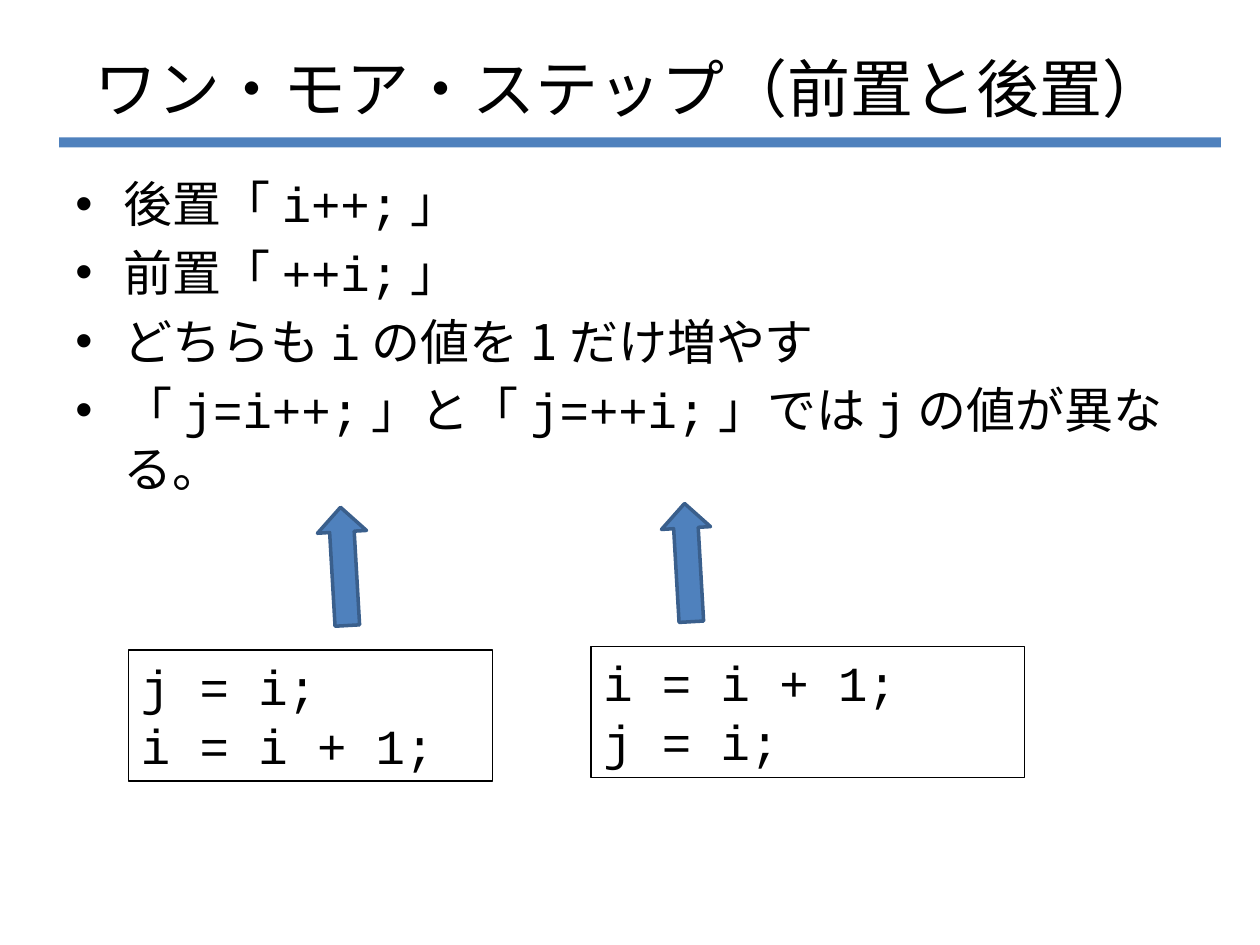
from lxml.etree import SubElement
from pptx import Presentation
from pptx.dml.color import RGBColor
from pptx.enum.shapes import MSO_SHAPE
from pptx.enum.text import MSO_ANCHOR, PP_ALIGN
from pptx.oxml.ns import qn
from pptx.util import Inches, Pt

COLORS = {"text": "000000", "accent": "4F81BD", "edge": "3A5F8C"}
TITLE_FONT, BODY_FONT, CODE_FONT = "Arial", "Noto Sans CJK JP", "Courier New"

# Backticks enclose code
BULLETS = [
    "後置「`i++;`」",
    "前置「`++i;`」",
    "どちらも`i`の値を1だけ増やす",
    "「`j=i++;`」と「`j=++i;`」では`j`の値が異なる。",
]


def rgb(name):
    return RGBColor.from_string(COLORS[name])


def add_run(p, text, font, size):
    r = p.add_run()
    r.text = text
    for key, value in {"name": font, "size": Pt(size)}.items():
        setattr(r.font, key, value)
    r.font.color.rgb = rgb("text")
    SubElement(r._r.get_or_add_rPr(), qn("a:ea")).set("typeface", font)


def add_text(s, box, anchor=MSO_ANCHOR.TOP):
    tf = s.shapes.add_textbox(*map(Inches, box)).text_frame
    for key, value in {"word_wrap": True, "vertical_anchor": anchor}.items():
        setattr(tf, key, value)
    return tf


def add_shape(s, kind, box, fill=None, line=None, width=0.75):
    sp = s.shapes.add_shape(kind, *map(Inches, box))
    sp.shadow.inherit = False
    if fill:
        sp.fill.solid()
        sp.fill.fore_color.rgb = rgb(fill)
    else:
        sp.fill.background()
    if line:
        sp.line.color.rgb = rgb(line)
        sp.line.width = Pt(width)
    else:
        sp.line.fill.background()
    return sp


def add_title(s, box, text):
    left, top, width, height = box
    add_shape(s, MSO_SHAPE.RECTANGLE, (left - 0.03, top + height, 9.22, 0.08), "accent")
    p = add_text(s, box, MSO_ANCHOR.MIDDLE).paragraphs[0]
    p.alignment = PP_ALIGN.CENTER
    add_run(p, text, TITLE_FONT, 36)


def add_bullets(s, box, items):
    tf = add_text(s, box)
    for i, item in enumerate(items):
        p = tf.add_paragraph() if i else tf.paragraphs[0]
        if i:
            p.space_before = Pt(5.6)
        pPr = p._p.get_or_add_pPr()
        pPr.set("marL", str(Inches(0.38)))
        pPr.set("indent", str(-Inches(0.38)))
        SubElement(pPr, qn("a:buFont")).set("typeface", "Arial")
        SubElement(pPr, qn("a:buChar")).set("char", "•")
        for j, text in enumerate(item.split("`")):
            add_run(p, text, CODE_FONT if j % 2 else BODY_FONT, 28)


def add_expansion(s, box, lines, arrow_left):
    """Code box with an arrow above it pointing to the short form."""
    sp = add_shape(s, MSO_SHAPE.RECTANGLE, box, line="text")
    tf = sp.text_frame
    for key, value in {"word_wrap": True, "vertical_anchor": MSO_ANCHOR.TOP}.items():
        setattr(tf, key, value)
    for i, line in enumerate(lines):
        p = tf.add_paragraph() if i else tf.paragraphs[0]
        p.alignment = PP_ALIGN.LEFT
        add_run(p, line, CODE_FONT, 28)
    arrow_box = (arrow_left, box[1] - 0.86, 0.94, 0.39)
    arrow = add_shape(s, MSO_SHAPE.RIGHT_ARROW, arrow_box, "accent", "edge", 2)
    arrow.rotation = 266.7


def main():
    prs = Presentation()
    prs.slide_width, prs.slide_height = Inches(10), Inches(7.5)
    s = prs.slides.add_slide(prs.slide_layouts[6])
    add_title(s, (0.5, 0.3, 9, 0.79), "ワン・モア・ステップ（前置と後置）")
    add_bullets(s, (0.5, 1.33, 9, 5.47), BULLETS)
    # Postfix, then prefix
    add_expansion(s, (1.02, 5.16, 2.89, 1.04), ["j = i;", "i = i + 1;"], 2.26)
    add_expansion(s, (4.69, 5.13, 3.44, 1.04), ["i = i + 1;", "j = i;"], 4.99)
    prs.save("out.pptx")


if __name__ == "__main__":
    main()
